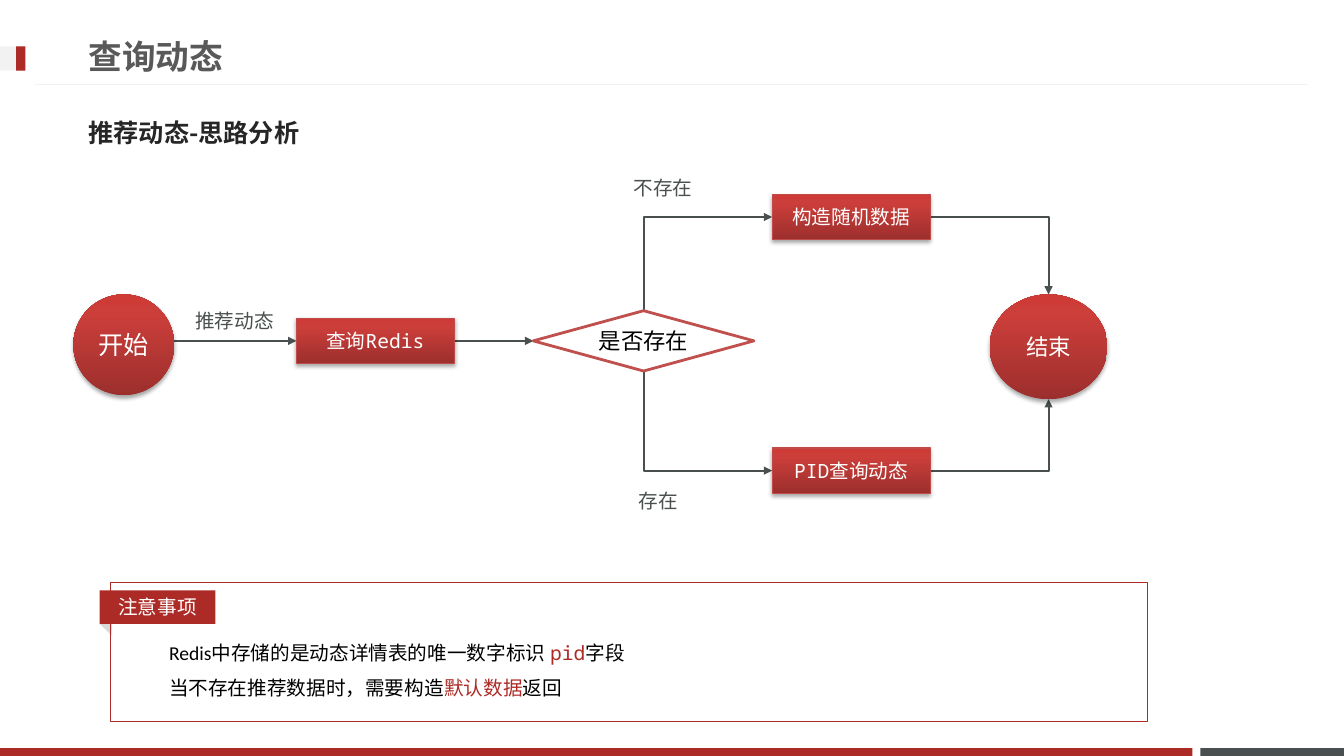
"""Build the flow chart slide on querying recommended posts."""
from copy import deepcopy

from lxml import etree
from pptx import Presentation
from pptx import util as u
from pptx.dml import color
from pptx.enum import shapes, text
from pptx.oxml import ns

RED, SLATE, WHITE, BLACK, PALE = "AD2B26", "49504F", "FFFFFF", "000000", "F2F2F2"
MONO, BODY, HEAD, CJK = "Noto Sans Mono", "Calibri", "Lato", "Noto Sans CJK JP"
GRADIENT = [(0, "9C2F2D"), (0.8, "CB3E3A"), (1, "CE3B37")]
KIND = shapes.MSO_SHAPE

BARS = [
    ((30.25, 18.85, 3.62, 0.2), SLATE),
    ((0, 18.85, 30.05, 0.2), RED),
    ((0, 1.17, 0.64, 0.61), PALE),
    ((0.41, 1.17, 0.23, 0.61), RED),
]
HEADINGS = [
    ((1.98, 0.69, 24.36, 1.45), ("查询动态", HEAD, 24, "595959")),
    ((1.98, 2.62, 29.87, 1.45), ("推荐动态-思路分析", CJK, 18, "262626")),
]
STEP_SIZE = (3.98, 1.14)
STEPS = {
    "query": ((7.47, 8.59), [("查询", BODY, 14, WHITE), ("Redis", MONO, 14, WHITE)]),
    "random": ((19.46, 5.47), [("构造随机数据", MONO, 14, WHITE)]),
    "pid": ((19.46, 11.86), [("PID查询动态", MONO, 14, WHITE)]),
}
TERMINALS = [
    ((1.85, 7.42, 2.54, 2.54), ("开始", BODY, 18, WHITE)),
    ((24.94, 7.42, 2.97, 2.64), ("结束", BODY, 16, WHITE)),
]
DECISION = (13.44, 7.83, 5.56, 1.52)
DECISION_TEXT = ("是否存在", BODY, 16, BLACK)
LABELS = [
    ((15.72, 4.32, 2.01, 0.86), "不存在"),
    ((15.85, 12.19, 1.5, 0.86), "存在"),
    ((4.67, 7.65, 2.51, 0.86), "推荐动态"),
]
NOTICE_FRAME = (2.79, 14.68, 26.14, 3.51)
NOTICE_FOLD = (2.54, 15.67, 0.41, 0.23)
NOTICE_TAG = (2.51, 14.88, 2.92, 0.84)
NOTICE_BOX = (4.01, 15.72, 22.68, 1.96)
NOTICE = [
    [("Redis中存储的是动态详情表的唯一数字标识 ", BODY, 14, BLACK),
     ("pid", MONO, 14, RED), ("字段", BODY, 14, BLACK)],
    [("当不存在推荐数据时，需要构造", BODY, 14, BLACK),
     ("默认数据", BODY, 14, RED), ("返回", BODY, 14, BLACK)],
]

deck = Presentation()
deck.slide_width, deck.slide_height = u.Cm(33.87), u.Cm(19.05)
slide = deck.slides.add_slide(deck.slide_layouts[6])


def rgb(code):
    return color.RGBColor.from_string(code)


def child(parent, tag, **attributes):
    return etree.SubElement(parent, ns.qn(tag), attributes)


def write(frame, paragraphs, align=text.PP_ALIGN.LEFT, anchor=text.MSO_ANCHOR.MIDDLE,
          wrap=True, bold=False, spacing=None):
    frame.word_wrap, frame.vertical_anchor = wrap, anchor
    for index, runs in enumerate(paragraphs):
        paragraph = frame.add_paragraph() if index else frame.paragraphs[0]
        paragraph.alignment = align
        if spacing:
            paragraph.line_spacing = spacing
        for words, face, size, ink in runs:
            run = paragraph.add_run()
            run.text = words
            run.font.size, run.font.bold = u.Pt(size), bold
            run.font.color.rgb = rgb(ink)
            run.font.name = face
            child(run.font._element, "a:ea", typeface=face)


def textbox(place, paragraphs, **style):
    box = slide.shapes.add_textbox(*map(u.Cm, place))
    write(box.text_frame, paragraphs, **style)
    return box


def block(kind, place, fill=None, line=None, width=0.75, runs=None):
    part = slide.shapes.add_shape(kind, *map(u.Cm, place))
    part.shadow.inherit = False
    if fill:
        part.fill.solid()
        part.fill.fore_color.rgb = rgb(fill)
    else:
        part.fill.background()
    if line:
        part.line.color.rgb = rgb(line)
        part.line.width = u.Pt(width)
    else:
        part.line.fill.background()
    if runs:
        write(part.text_frame, [runs], align=text.PP_ALIGN.CENTER, wrap=False)
    return part


def glossy(kind, place, runs, line=None):
    part = block(kind, place, line=line, runs=runs)
    part.fill.gradient()
    part.fill.gradient_angle = 90
    stops = part._element.spPr.find(".//" + ns.qn("a:gsLst"))
    stops.insert(1, deepcopy(stops[0]))
    for stop, (position, ink) in zip(part.fill.gradient_stops, GRADIENT):
        stop.position, stop.color.rgb = position, rgb(ink)
    shade = child(part._element.spPr.find(ns.qn("a:effectLst")), "a:outerShdw",
                  blurRad=str(u.Pt(3.1)), dist=str(u.Pt(1.8)), dir="5400000", rotWithShape="0")
    child(child(shade, "a:srgbClr", val=BLACK), "a:alpha", val="35000")


def straight(start, end, ink=SLATE, width=1.5, arrow=True):
    link = slide.shapes.add_connector(shapes.MSO_CONNECTOR.STRAIGHT, *map(u.Cm, start + end))
    link.line.color.rgb = rgb(ink)
    link.line.width = u.Pt(width)
    if arrow:
        child(link.line._get_or_add_ln(), "a:tailEnd", type="triangle")
    child(link._element.spPr, "a:effectLst")
    return link


def elbow(start, end, vertical_first=False):
    if vertical_first:
        mid_x, mid_y = (start[0] + end[0]) / 2, (start[1] + end[1]) / 2
        start, end = [(mid_x + y - mid_y, mid_y - x + mid_x) for x, y in (start, end)]
    link = straight(start, end)
    link._element.spPr.find(ns.qn("a:prstGeom")).set("prst", "bentConnector2")
    if vertical_first:
        link._element.spPr.find(ns.qn("a:xfrm")).set("rot", "5400000")


for place, fill in BARS:
    block(KIND.RECTANGLE, place, fill)
straight((32.97, 2.13), (0.89, 2.13), PALE, 0.75, arrow=False)
for place, run in HEADINGS:
    textbox(place, [[run]], bold=True)

step_width, step_height = STEP_SIZE
flow_y = STEPS["query"][0][1]
left, top, width, height = DECISION
fork_x = left + width / 2
start_place, finish = TERMINALS[0][0], TERMINALS[1][0]
finish_x = finish[0] + finish[2] / 2

straight((4.32, flow_y), STEPS["query"][0])
straight((STEPS["query"][0][0] + step_width, flow_y), (left, flow_y))
for name, fork_y, finish_y in (("random", top, finish[1]),
                               ("pid", top + height, finish[1] + finish[3])):
    step_x, step_y = STEPS[name][0]
    elbow((fork_x, fork_y), (step_x, step_y), vertical_first=True)
    elbow((step_x + step_width, step_y), (finish_x, finish_y))

for (step_x, step_y), runs in STEPS.values():
    glossy(KIND.RECTANGLE, (step_x, step_y - step_height / 2, *STEP_SIZE), runs, "BF4C48")
block(KIND.FLOWCHART_DECISION, DECISION, WHITE, "C0504D", 2, [DECISION_TEXT])
for place, run in TERMINALS:
    glossy(KIND.OVAL, place, [run])
for place, words in LABELS:
    textbox(place, [[(words, MONO, 14, SLATE)]], anchor=text.MSO_ANCHOR.TOP, wrap=False)

block(KIND.ISOSCELES_TRIANGLE, NOTICE_FOLD, "D9D9D9").rotation = 44.2
block(KIND.RECTANGLE, NOTICE_FRAME, line=RED)
block(KIND.RECTANGLE, NOTICE_TAG, RED, runs=[("注意事项", HEAD, 14, WHITE)])
textbox(NOTICE_BOX, NOTICE, anchor=text.MSO_ANCHOR.TOP, spacing=1.5)

deck.save("out.pptx")
